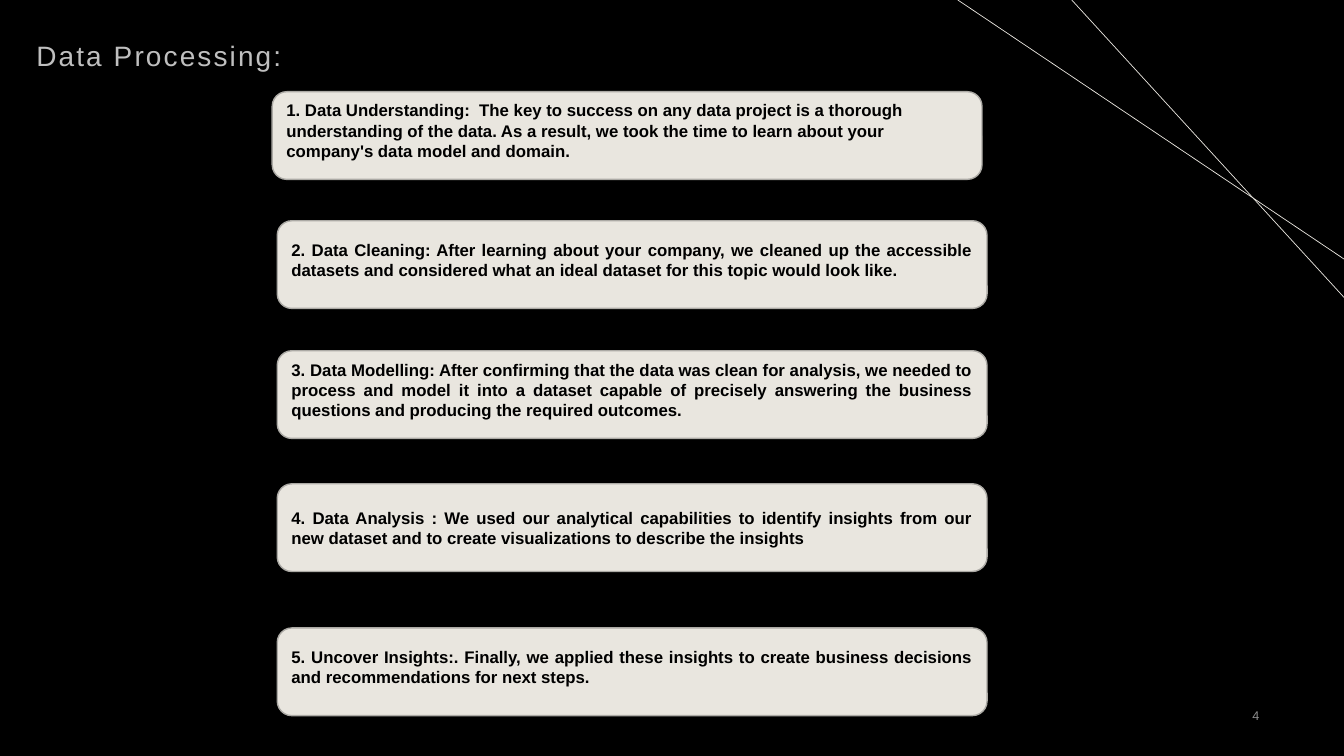
from pptx import Presentation
from pptx.dml.color import RGBColor
from pptx.enum.shapes import MSO_CONNECTOR, MSO_SHAPE
from pptx.enum.text import MSO_ANCHOR, MSO_AUTO_SIZE, PP_ALIGN
from pptx.oxml.ns import qn
from pptx.util import Inches, Pt

BLACK, SAND, SAND_EDGE = "000000", "E9E6DF", "ACAAA5"
STEP_SIZE = (7.04, 0.87)
# left, top, alignment, upward shift of the text, text
STEPS = [
    (2.7, 0.91, PP_ALIGN.LEFT, 0.1,
     "1. Data Understanding:  The key to success on any data project is a "
     "thorough understanding of the data. As a result, we took the time to "
     "learn about your company's data model and domain."),
    (2.75, 2.19, PP_ALIGN.JUSTIFY, 0.1,
     "2. Data Cleaning: After learning about your company, we cleaned up the "
     "accessible datasets and considered what an ideal dataset for this topic "
     "would look like."),
    (2.75, 3.48, PP_ALIGN.JUSTIFY, 0.1,
     "3. Data Modelling: After confirming that the data was clean for "
     "analysis, we needed to process and model it into a dataset capable of "
     "precisely answering the business questions and producing the required "
     "outcomes."),
    (2.75, 4.8, PP_ALIGN.JUSTIFY, 0,
     "4. Data Analysis : We used our analytical capabilities to identify "
     "insights from our new dataset and to create visualizations to describe "
     "the insights"),
    (2.75, 6.23, PP_ALIGN.JUSTIFY, 0.1,
     "5. Uncover Insights:. Finally, we applied these insights to create "
     "business decisions and recommendations for next steps."),
]


def rgb(value):
    return RGBColor.from_string(value)


def box(*lengths):
    return [Inches(v) for v in lengths]


def write(shape, text, color, anchor, font, paragraph):
    """Put one formatted paragraph into a shape and return its run."""
    tf = shape.text_frame
    tf.word_wrap = True
    tf.auto_size = MSO_AUTO_SIZE.NONE
    tf.vertical_anchor = anchor
    p = tf.paragraphs[0]
    r = p.add_run()
    r.text = text
    r.font.color.rgb = rgb(color)
    for target, values in ((r.font, {"name": "Arial", **font}), (p, paragraph)):
        for name, value in values.items():
            setattr(target, name, value)
    return r


def add_title(s, text):
    title = s.shapes.title
    title.left, title.top, title.width, title.height = box(0.26, 0.4, 4.41, 0.4)
    r = write(title, text, "BFBFBF", MSO_ANCHOR.TOP, {"size": Pt(20)},
              {"alignment": PP_ALIGN.LEFT, "line_spacing": 0.8,
               "space_before": Pt(10)})
    r.font._element.set("spc", "150")


def add_line(s, *ends):
    line = s.shapes.add_connector(MSO_CONNECTOR.STRAIGHT, *box(*ends))
    line.line.color.rgb = rgb(SAND)
    line.line.width = Pt(0.5)
    sp_pr = line._element.spPr
    sp_pr.append(sp_pr.makeelement(qn("a:effectLst"), {}))


def add_step(s, left, top, alignment, shift, text):
    sp = s.shapes.add_shape(MSO_SHAPE.ROUNDED_RECTANGLE,
                            *box(left, top, *STEP_SIZE))
    sp.shadow.inherit = False
    sp.fill.solid()
    sp.fill.fore_color.rgb = rgb(SAND)
    sp.line.color.rgb = rgb(SAND_EDGE)
    sp.line.width = Pt(1)
    write(sp, text, BLACK, MSO_ANCHOR.MIDDLE, {"size": Pt(12), "bold": True},
          {"alignment": alignment})
    sp.text_frame.margin_top = Inches(0.05)
    sp.text_frame.margin_bottom = Inches(0.05 + shift)


def add_page_number(s, number):
    sp = s.shapes.add_textbox(*box(12.16, 6.9, 0.43, 0.4))
    write(sp, number, "8C8C8C", MSO_ANCHOR.MIDDLE, {"size": Pt(9)},
          {"alignment": PP_ALIGN.RIGHT})


def main():
    prs = Presentation()
    prs.slide_width, prs.slide_height = box(13.33, 7.5)
    s = prs.slides.add_slide(prs.slide_layouts[5])
    s.background.fill.solid()
    s.background.fill.fore_color.rgb = rgb(BLACK)

    add_line(s, 9.5, 0, 13.33, 2.57)
    add_line(s, 10.63, 0, 13.33, 2.95)
    add_page_number(s, "4")
    add_title(s, "Data Processing:")
    for step in STEPS:
        add_step(s, *step)
    prs.save("out.pptx")


if __name__ == "__main__":
    main()
